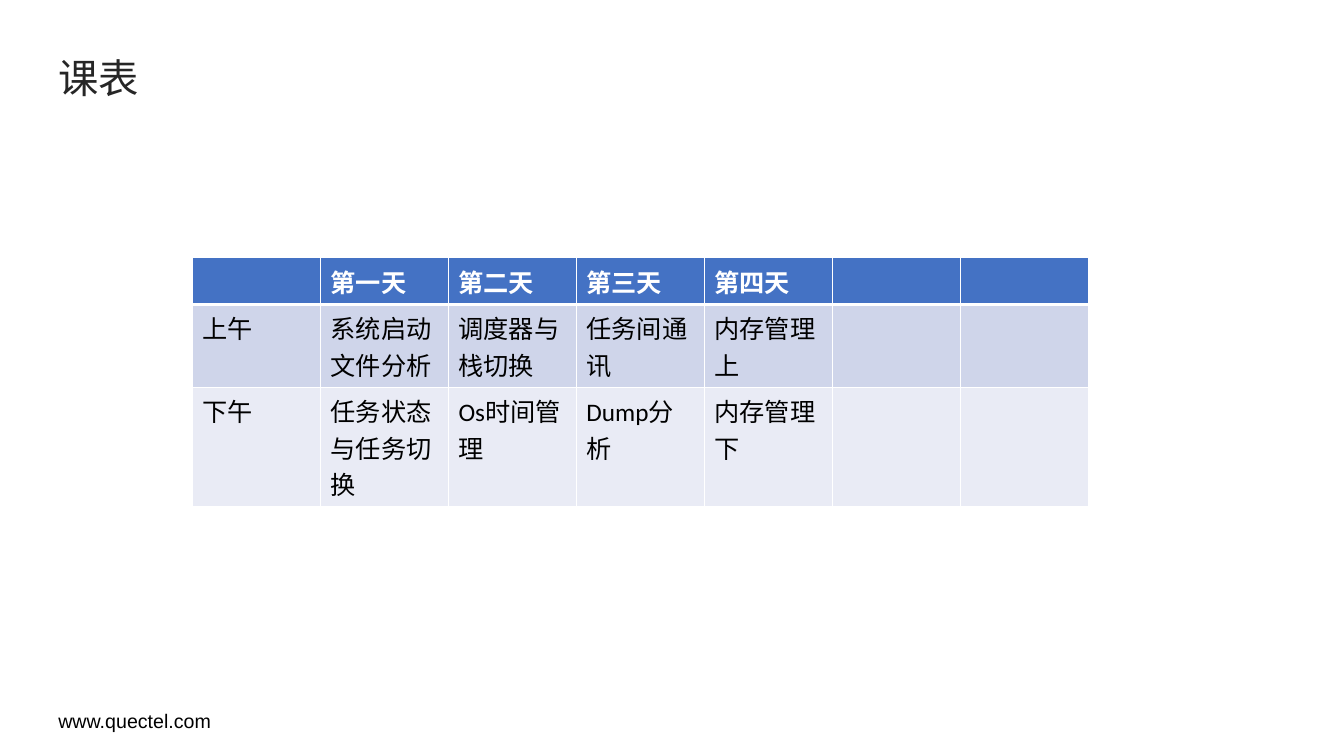
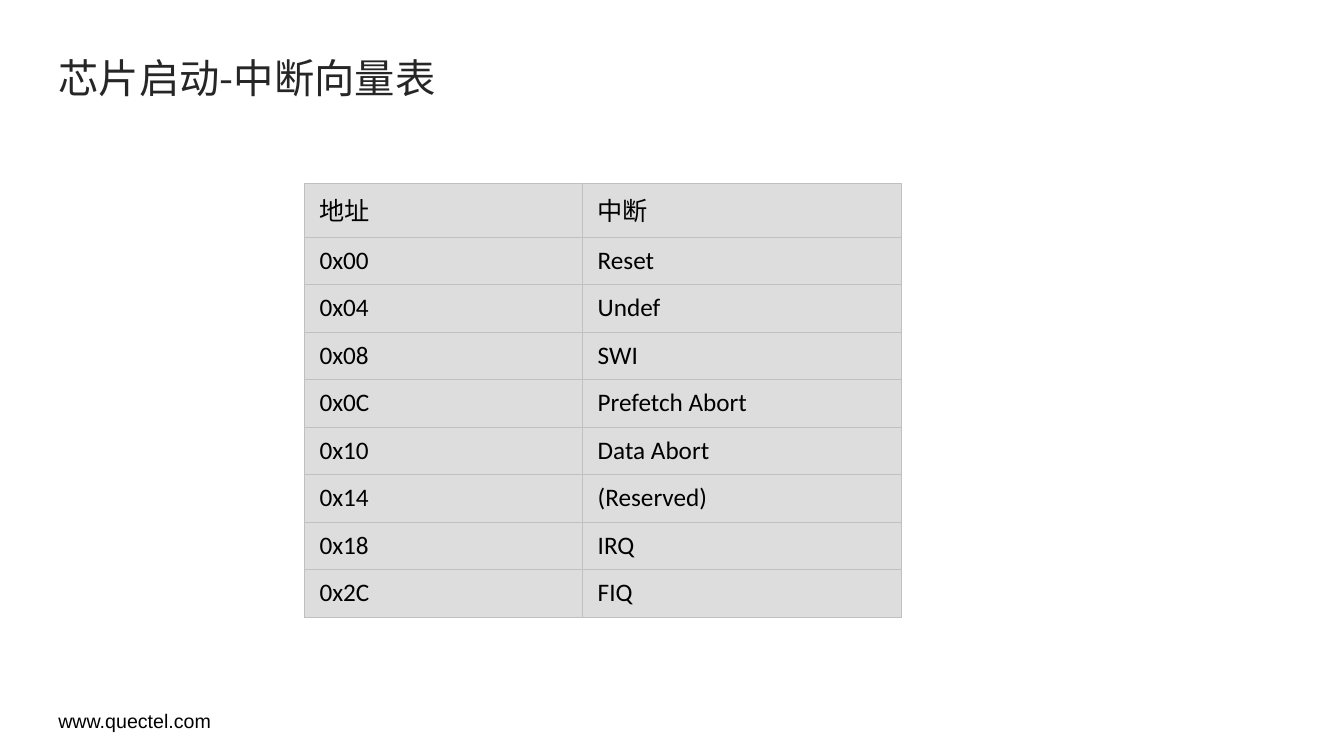
"""Build two slides, a timetable and an interrupt vector table."""
from dataclasses import dataclass

from lxml import etree
from pptx import Presentation
from pptx.dml.color import RGBColor
from pptx.enum.text import MSO_ANCHOR, MSO_AUTO_SIZE, PP_ALIGN
from pptx.oxml.ns import qn
from pptx.util import Inches, Pt

MID = MSO_ANCHOR.MIDDLE
LEFT = PP_ALIGN.LEFT
FIXED = MSO_AUTO_SIZE.NONE
WIDE, HIGH = Inches(13.33), Inches(7.5)
COL, ROW = WIDE / 100, HIGH / 100
HAN, BODY, FOOT = "Noto Sans CJK SC", "Calibri", "Arial"
INK, BLACK, WHITE = "262626", "000000", "FFFFFF"
SITE = "www.quectel.com"


@dataclass(frozen=True)
class Box:
    """A place on the grid of 100 columns and 100 rows."""
    x: float
    y: float
    w: float
    h: float


@dataclass(frozen=True)
class Look:
    """The type of a run."""
    size: float
    face: str
    hue: str
    bold: bool = False


@dataclass(frozen=True)
class Band:
    """The look of a table row with its upper and lower rules."""
    fill: str
    look: Look
    top: float
    base: float


@dataclass(frozen=True)
class Sheet:
    """A titled slide with one table."""
    title: str
    x: float
    y: float
    cols: list[float]
    rows: list[float]
    cells: list[list[str]]
    bands: list[Band]
    edge: str
    line: float
    pad: tuple[float, float]


HEAD_BOX = Box(3.6, 7.33, 90.75, 6.53)
FOOT_BOX = Box(3.6, 93.5, 90.75, 4.13)
HEAD = Look(28.8, HAN, INK)
NOTE = Look(14, FOOT, BLACK)
TEXT = Look(18, BODY, BLACK)
BOLD = Look(18, BODY, WHITE, True)
GREY = Band("DDDDDD", TEXT, 0.75, 0.75)

PLAN = [
    ["", "第一天", "第二天", "第三天", "第四天", "", ""],
    ["上午", "系统启动文件分析", "调度器与栈切换", "任务间通讯", "内存管理上", "", ""],
    ["下午", "任务状态与任务切换", "Os时间管理", "Dump分析", "内存管理下", "", ""],
]
VECTOR = [
    ["地址", "中断"],
    ["0x00", "Reset"],
    ["0x04", "Undef"],
    ["0x08", "SWI"],
    ["0x0C", "Prefetch Abort"],
    ["0x10", "Data Abort"],
    ["0x14", "(Reserved)"],
    ["0x18", "IRQ"],
    ["0x2C", "FIQ"],
]
SHEETS = [
    Sheet("课表", 14.33, 34.1, [9.52] * 7, [6, 10.95, 15.8], PLAN,
          [Band("4472C4", BOLD, 1, 3), Band("CFD5EA", TEXT, 3, 1),
           Band("E9EBF5", TEXT, 1, 1)], WHITE, 1, (0.1, 0.05)),
    Sheet("芯片启动-中断向量表", 22.65, 24.25, [20.7, 23.7],
          [7.15] + [6.28] * 8, VECTOR, [GREY] * 9, "C0C0C0", 0.75,
          (0.15, 0.08)),
]


def paint(code: str) -> RGBColor:
    """Turn a hex string into a colour."""
    return RGBColor.from_string(code)


def write(para, text: str, look: Look) -> None:
    """Add a run in Latin and East Asian type."""
    run = para.add_run()
    run.text = text
    font = run.font
    font.size, font.name, font.bold = Pt(look.size), look.face, look.bold
    font.color.rgb = paint(look.hue)
    props = run._r.get_or_add_rPr()
    east = etree.Element(qn("a:ea"), typeface=HAN)
    props.find(qn("a:latin")).addnext(east)


def label(shape, box: Box, text: str, look: Look) -> None:
    """Place a shape and set its one line of text."""
    shape.left, shape.top = int(box.x * COL), int(box.y * ROW)
    shape.width, shape.height = int(box.w * COL), int(box.h * ROW)
    frame = shape.text_frame
    frame.word_wrap, frame.auto_size = True, FIXED
    frame.vertical_anchor = MID
    para = frame.paragraphs[0]
    para.alignment, para.line_spacing = LEFT, 0.9
    write(para, text, look)


def rule(cell, side: str, hue: str, width: float) -> None:
    """Add one border to a cell."""
    props = cell._tc.get_or_add_tcPr()
    line = etree.SubElement(props, qn(f"a:ln{side}"), w=str(Pt(width)))
    fill = etree.SubElement(line, qn("a:solidFill"))
    etree.SubElement(fill, qn("a:srgbClr"), val=hue)


def dress(cell, text: str, band: Band, sheet: Sheet) -> None:
    """Give a cell its borders, fill, margins and text."""
    sides = {"L": sheet.line, "R": sheet.line, "T": band.top, "B": band.base}
    for side, width in sides.items():
        rule(cell, side, sheet.edge, width)
    cell.fill.solid()
    cell.fill.fore_color.rgb = paint(band.fill)
    cell.margin_left = cell.margin_right = Inches(sheet.pad[0])
    cell.margin_top = cell.margin_bottom = Inches(sheet.pad[1])
    if text:
        write(cell.text_frame.paragraphs[0], text, band.look)


def grid(slide, sheet: Sheet) -> None:
    """Draw the table of a sheet."""
    cols = [int(w * COL) for w in sheet.cols]
    rows = [int(h * ROW) for h in sheet.rows]
    table = slide.shapes.add_table(
        len(rows), len(cols), int(sheet.x * COL), int(sheet.y * ROW),
        sum(cols), sum(rows)).table
    table.first_row = table.horz_banding = False
    for col, width in zip(table.columns, cols):
        col.width = width
    for row, high, texts, band in zip(
            table.rows, rows, sheet.cells, sheet.bands):
        row.height = high
        for cell, text in zip(row.cells, texts):
            dress(cell, text, band, sheet)


def main() -> None:
    """Build and save the deck."""
    deck = Presentation()
    deck.slide_width, deck.slide_height = WIDE, HIGH
    for sheet in SHEETS:
        slide = deck.slides.add_slide(deck.slide_layouts[5])
        label(slide.shapes.title, HEAD_BOX, sheet.title, HEAD)
        label(slide.shapes.add_textbox(0, 0, 0, 0), FOOT_BOX, SITE, NOTE)
        grid(slide, sheet)
    deck.save("out.pptx")


if __name__ == "__main__":
    main()
